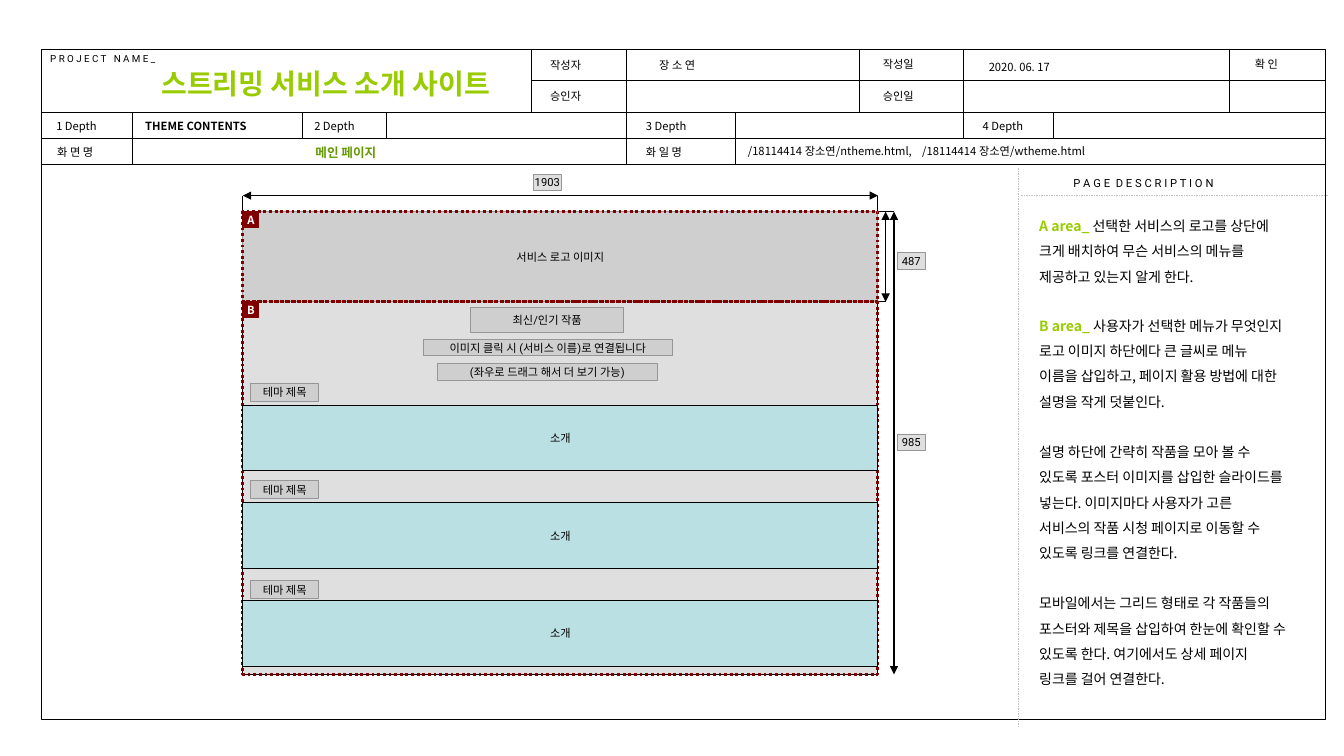
from lxml import etree
from pptx import Presentation, util as u
from pptx.dml.color import RGBColor
from pptx.enum import dml, shapes, text
from pptx.oxml import ns

BLACK = RGBColor(0x00, 0x00, 0x00)
WHITE = RGBColor(0xFF, 0xFF, 0xFF)
SILVER = RGBColor(0xC0, 0xC0, 0xC0)
GRAY = RGBColor(0x96, 0x96, 0x96)
MAROON = RGBColor(0x80, 0x00, 0x00)
AQUA = RGBColor(0xBB, 0xE0, 0xE3)
LIME = RGBColor(0x99, 0xCC, 0x00)
OLIVE = RGBColor(0x66, 0x99, 0x00)
NOTO, ROBOTO = "Noto Sans CJK KR", "Roboto"
DOT, DASH = dml.MSO_LINE.ROUND_DOT, dml.MSO_LINE.DASH

LEFT, RIGHT, TOP, BOTTOM = 29.5, 946.8, 35.3, 514.1
ROW1, ROW2, ROW3, ROW4 = 57.6, 80.6, 98.8, 117.7
PAGE_X, PAGE_Y, PAGE_W, PAGE_H = 173.5, 151.2, 453.6, 330.5
PAGE_R, PAGE_B = PAGE_X + PAGE_W, PAGE_Y + PAGE_H
LOGO_H = 64.4
RULER_Y, LOGO_RULER_X, PAGE_RULER_X = 139.7, 632.6, 638.6


class Deck:
    def __init__(self, s):
        self.s = s
        self.font = {"name": NOTO, "size": u.Pt(8), "bold": False}

    def runs(self, p, parts, color=BLACK, **fmt):
        for part in parts:
            words, own = part if isinstance(part, tuple) else (part, {})
            own = dict(own)
            gap = own.pop("gap", 0)
            r = p.add_run()
            r.text = words
            r.font.color.rgb = own.pop("color", color)
            for key, value in {**self.font, **fmt, **own}.items():
                setattr(r.font, key, value)
            rpr = r._r.get_or_add_rPr()
            etree.SubElement(rpr, ns.qn("a:ea"), typeface=NOTO)
            if gap:
                rpr.set("spc", str(int(gap * 100)))

    def label(self, x, y, w, h, paras, inset=(7.2, 3.6), wrap=True,
              spacing=None, before=0, **fmt):
        tf = self.s.shapes.add_textbox(u.Pt(x), u.Pt(y), u.Pt(w), u.Pt(h)).text_frame
        side, edge = map(u.Pt, inset)
        frame = {"word_wrap": wrap, "auto_size": text.MSO_AUTO_SIZE.SHAPE_TO_FIT_TEXT,
                 "margin_left": side, "margin_right": side,
                 "margin_top": edge, "margin_bottom": edge}
        for key, value in frame.items():
            setattr(tf, key, value)
        for i, parts in enumerate(paras):
            p = tf.add_paragraph() if i else tf.paragraphs[0]
            if spacing:
                p.line_spacing = spacing
            if i:
                p.space_before = u.Pt(before)
            self.runs(p, parts, **fmt)

    def box(self, x, y, w, h, words=None, fill=None, line=GRAY, width=0.75,
            dash=None, alpha=None, **fmt):
        sp = self.s.shapes.add_shape(shapes.MSO_SHAPE.RECTANGLE,
                                     u.Pt(x), u.Pt(y), u.Pt(w), u.Pt(h))
        sp.shadow.inherit = False
        if fill is None:
            sp.fill.background()
        else:
            sp.fill.solid()
            sp.fill.fore_color.rgb = fill
        if alpha:
            color = sp._element.spPr.find(ns.qn("a:solidFill"))[0]
            etree.SubElement(color, ns.qn("a:alpha"), val=str(alpha * 1000))
        sp.line.color.rgb = line
        sp.line.width = u.Pt(width)
        if dash:
            sp.line.dash_style = dash
        if words:
            tf = sp.text_frame
            tf.word_wrap = False
            tf.vertical_anchor = text.MSO_ANCHOR.MIDDLE
            p = tf.paragraphs[0]
            p.alignment = text.PP_ALIGN.CENTER
            self.runs(p, [words], **{"name": ROBOTO, **fmt})

    def tag(self, x, y, w, h, words=None, **style):
        self.box(x, y, w, h, words, fill=SILVER, alpha=50, **style)

    def line(self, x1, y1, x2, y2, width=0.75, color=BLACK, dash=None, arrows=False):
        c = self.s.shapes.add_connector(shapes.MSO_CONNECTOR.STRAIGHT,
                                        u.Pt(x1), u.Pt(y1), u.Pt(x2), u.Pt(y2))
        c.line.color.rgb = color
        c.line.width = u.Pt(width)
        if dash:
            c.line.dash_style = dash
        if arrows:
            for end in ("a:headEnd", "a:tailEnd"):
                etree.SubElement(c.line._get_or_add_ln(), ns.qn(end), type="triangle")
        etree.SubElement(c._element.spPr, ns.qn("a:effectLst"))


def header(d):
    d.box(LEFT, TOP, RIGHT - LEFT, BOTTOM - TOP, line=BLACK, width=1)
    for x, y in ((379.5, ROW1), (LEFT, ROW2), (LEFT, ROW3), (LEFT, ROW4)):
        d.line(x, y, RIGHT, y, 0.5)
    for x, y1, y2 in ((379.5, TOP, ROW2), (447.8, TOP, ROW4), (614.2, TOP, ROW2),
                      (688.3, TOP, ROW3), (878.4, TOP, ROW2), (94.6, ROW2, ROW4),
                      (216, ROW2, ROW3), (275.8, ROW2, ROW3), (525.2, ROW2, ROW4),
                      (752.4, ROW2, ROW3)):
        d.line(x, y1, x, y2)
    for x, y, words in ((385.9, 38.2, "작성자"), (385.9, 60.5, "승인자"),
                        (623.5, 37.4, "작성일"), (623.5, 60.5, "승인일"),
                        (889.2, 37.4, "확 인"), (33.1, 81.4, "1 Depth"),
                        (217.4, 81.4, "2 Depth"), (454.3, 81.4, "3 Depth"),
                        (694.8, 81.4, "4 Depth"), (33.8, 100.1, "화 면 명"),
                        (454.3, 100.1, "화 일 명")):
        d.label(x, y, 43.9, 17.3, [[words]], wrap=False)
    d.label(28.8, 33.8, 173.5, 15.8,
            [["P R O J E C T", (" ", {"gap": 3.5}), "N A M E _"]],
            name=ROBOTO, size=u.Pt(7))
    wide = (7.9, 4)
    d.label(107.3, 43.2, 294.5, 32.4, [["스트리밍 서비스 소개 사이트"]], wide,
            color=LIME, size=u.Pt(20), bold=True)
    d.label(463, 37.4, 108, 17.3, [["장 소 연"]], wide)
    d.label(698.4, 38.9, 108, 17.3, [["2020. 06. 17"]], wide)
    d.label(95.8, 81.4, 121.7, 18, [["THEME CONTENTS"]], wide, bold=True)
    d.label(217.4, 99.4, 73.4, 18.7, [["메인 페이지"]], wide,
            color=OLIVE, size=u.Pt(9), bold=True)
    d.label(526.3, 99.4, 378, 18,
            [["/18114414 장소연/ntheme.html,", (" ", {"gap": 5.4}),
              "/18114414 장소연/wtheme.html"]], wide)


def mockup(d):
    d.line(PAGE_R, PAGE_Y, PAGE_RULER_X, PAGE_Y)
    d.line(PAGE_R, PAGE_Y + LOGO_H, LOGO_RULER_X, PAGE_Y + LOGO_H)
    for x in (PAGE_X, PAGE_R):
        d.line(x, PAGE_Y, x, RULER_Y)
    for ruler in ((PAGE_X, RULER_Y, PAGE_R, RULER_Y),
                  (PAGE_RULER_X, PAGE_Y, PAGE_RULER_X, PAGE_B),
                  (LOGO_RULER_X, PAGE_Y, LOGO_RULER_X, PAGE_Y + LOGO_H)):
        d.line(*ruler, arrows=True)
    for x, y, size in ((380.9, 124.6, "1903"), (640.8, 180.7, "487"), (640.8, 310.3, "985")):
        d.tag(x, y, 20.2, 11.5, size)
    d.tag(PAGE_X, PAGE_Y, PAGE_W, PAGE_H, line=BLACK)
    d.tag(PAGE_X, PAGE_Y, PAGE_W, LOGO_H, "서비스 로고 이미지")
    for area, y, h in (("A", PAGE_Y, LOGO_H), ("B", PAGE_Y + LOGO_H, PAGE_H - LOGO_H)):
        d.box(PAGE_X, y, PAGE_W, h, line=MAROON, width=2, dash=DOT)
        d.box(PAGE_X, y, 11.5, 11.5, area, fill=MAROON, line=MAROON,
              color=WHITE, name=NOTO, bold=True)
    for i, theme_y in enumerate((273.6, 343.4, 414.7)):
        d.box(PAGE_X, 289.4 + 69.8 * i, PAGE_W, 46.8, "소개", fill=AQUA, line=BLACK)
        d.tag(179.3, theme_y, 48.2, 13, "테마 제목")
    d.tag(336.2, 219.6, 109.4, 18, "최신/인기 작품")
    d.tag(302.4, 242.6, 177.8, 11.5, "이미지 클릭 시 (서비스 이름)로 연결됩니다")
    d.tag(312.5, 259.9, 157, 12.2, "(좌우로 드래그 해서 더 보기 가능)")


def description(d):
    d.line(727.2, 120.2, 727.2, 519.8, 0.25, SILVER, DASH)
    d.line(729.4, RULER_Y, 949, RULER_Y, 0.25, SILVER, DASH)
    d.label(759.6, 122.4, 154.8, 16.6,
            [["P A G E", (" ", {"gap": 2}), "D E S C R I P T I O N"]], name=ROBOTO)
    lead = {"color": LIME, "bold": True}
    notes = (
        (145.4, 59.8, [[("A area_ ", lead), "선택한 서비스의 로고를 상단에 크게 배치하여 "
                        "무슨 서비스의 메뉴를 제공하고 있는지 알게 한다."]]),
        (216.7, 277.9, [
            [("B area_ ", lead), "사용자가 선택한 메뉴가 무엇인지 로고 이미지 하단에다 큰 글씨로 "
             "메뉴 이름을 삽입하고, 페이지 활용 방법에 대한 설명을 작게 덧붙인다."],
            ["설명 하단에 간략히 작품을 모아 볼 수 있도록 포스터 이미지를 삽입한 슬라이드를 넣는다. "
             "이미지마다 사용자가 고른 서비스의 작품 시청 페이지로 이동할 수 있도록 링크를 연결한다."],
            ["모바일에서는 그리드 형태로 각 작품들의 포스터와 제목을 삽입하여 한눈에 확인할 수 있도록 한다. "
             "여기에서도 상세 페이지 링크를 걸어 연결한다."]]),
    )
    for y, h, paras in notes:
        d.label(734.4, y, 192.2, h, paras, (7.9, 4), spacing=1.5, before=18, size=u.Pt(10))


def main():
    prs = Presentation()
    prs.slide_width, prs.slide_height = u.Pt(960), u.Pt(540)
    d = Deck(prs.slides.add_slide(prs.slide_layouts[6]))
    header(d)
    mockup(d)
    description(d)
    prs.save("out.pptx")


if __name__ == "__main__":
    main()
